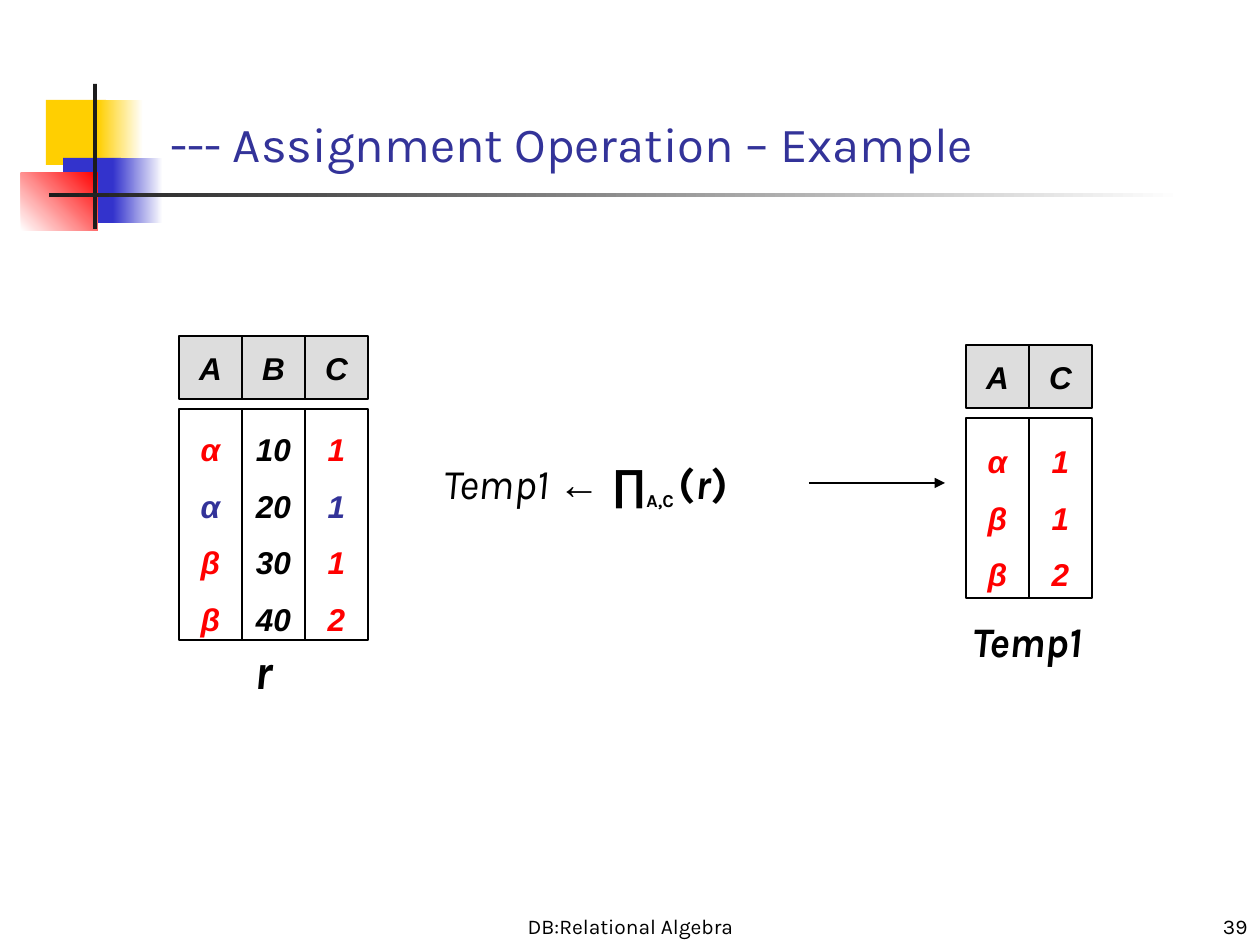
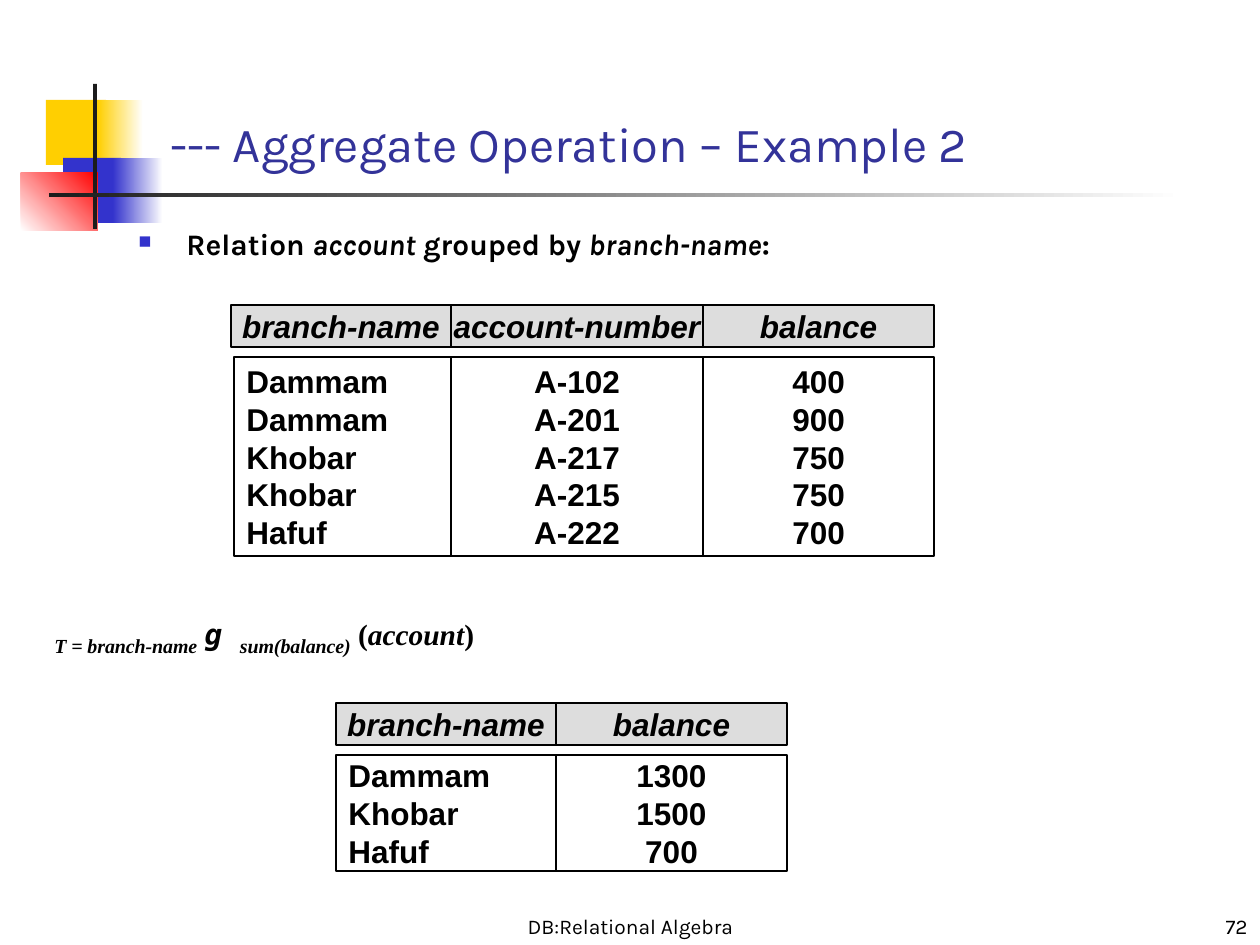
from lxml import etree
from pptx import Presentation
from pptx import util as u
from pptx.dml.color import RGBColor
from pptx.enum import shapes, text
from pptx.oxml.ns import qn

PX = 914400 / 126
BLACK = RGBColor(0x00, 0x00, 0x00)
WHITE = RGBColor(0xFF, 0xFF, 0xFF)
GOLD = RGBColor(0xFF, 0xCF, 0x01)
BLUE = RGBColor(0x33, 0x33, 0xCC)
INDIGO = RGBColor(0x33, 0x33, 0x99)
RED = RGBColor(0xFF, 0x00, 0x00)
INK = RGBColor(0x1C, 0x1C, 0x1C)
GREY = RGBColor(0xDD, 0xDD, 0xDD)

LEFT, CENTER, RIGHT = (text.PP_ALIGN.LEFT, text.PP_ALIGN.CENTER,
                       text.PP_ALIGN.RIGHT)
TOP, MIDDLE, BOTTOM = (text.MSO_ANCHOR.TOP, text.MSO_ANCHOR.MIDDLE,
                       text.MSO_ANCHOR.BOTTOM)

TITLE = dict(name="Karla", size=28, color=INDIGO)
FOOTER = dict(name="Karla", size=12, color=BLACK)
LABEL = dict(name="Karla", size=24, color=BLACK, bold=True, italic=True)
BODY = dict(name="Karla", size=17, color=BLACK, bold=True)
CELL = dict(name="Arial", size=18, color=BLACK, bold=True)
HEAD = dict(CELL, italic=True)
FORMULA = dict(name="Times New Roman", size=16.8, color=BLACK, bold=True)
SUBSCRIPT = dict(FORMULA, size=19.6, italic=True, baseline=-25000)

BANDS = [
    (46, 100, 60, 65, [GOLD], 0),
    (98, 100, 45, 65, [GOLD, WHITE], 0),
    (63, 158, 58, 65, [BLUE], 0),
    (113, 158, 50, 65, [BLUE, WHITE], 0),
    (21, 173, 77, 58, [WHITE, RED], 45),
    (93, 84, 4, 145, [INK], 0),
    (49, 193, 1134, 4, [INK, WHITE], 0),
]
HEAD_GAP = 10


def px(*values):
    return [u.Emu(round(v * PX)) for v in values]


def add_run(p, words, fmt):
    r = p.add_run()
    r.text = words
    for key, value in fmt.items():
        if key == "color":
            r.font.color.rgb = value
        elif key == "baseline":
            r._r.get_or_add_rPr().set("baseline", str(value))
        else:
            setattr(r.font, key, u.Pt(value) if key == "size" else value)


def fill_text(sp, paragraphs, align=LEFT, anchor=TOP, wrap=True, spacing=1.0):
    tf = sp.text_frame
    tf.word_wrap = wrap
    tf.vertical_anchor = anchor
    for i, runs in enumerate(paragraphs):
        p = tf.paragraphs[0] if i == 0 else tf.add_paragraph()
        p.alignment = align
        p.line_spacing = spacing
        for words, fmt in runs:
            add_run(p, words, fmt)
    return tf


def add_text(s, box, runs, **layout):
    sp = s.shapes.add_textbox(*px(*box))
    tf = fill_text(sp, [runs], **layout)
    if not tf.word_wrap:
        tf.auto_size = text.MSO_AUTO_SIZE.SHAPE_TO_FIT_TEXT
    return tf.paragraphs[0]


def add_rect(s, box, colors, angle=0, outlined=False):
    sp = s.shapes.add_shape(shapes.MSO_SHAPE.RECTANGLE, *px(*box))
    sp.shadow.inherit = False
    if len(colors) == 1:
        sp.fill.solid()
        sp.fill.fore_color.rgb = colors[0]
    else:
        sp.fill.gradient()
        sp.fill.gradient_angle = angle
        for stop, color in zip(sp.fill.gradient_stops, colors):
            stop.color.rgb = color
    if outlined:
        sp.line.color.rgb = BLACK
        sp.line.width = u.Pt(0.75)
    else:
        sp.line.fill.background()
    return sp


def add_relation(s, x, y, head_h, body_h, columns, spacing=1.0, inset=0):
    body_y = y + head_h + HEAD_GAP
    left = x
    for name, width, *_ in columns:
        sp = add_rect(s, (left, y, width, head_h), [GREY], outlined=True)
        fill_text(sp, [[(name, HEAD)]], CENTER, MIDDLE, False)
        left += width
    left = x
    for i, (_, width, align, fmt, values, colors) in enumerate(columns):
        body_x = left + inset if i == 0 else left
        sp = add_rect(s, (body_x, body_y, width, body_h), [WHITE],
                      outlined=True)
        rows = [[(v, dict(fmt, color=c))] for v, c in zip(values, colors)]
        fill_text(sp, rows, align, MIDDLE, False, spacing)
        left += width


def symbol_column(name, values, colors):
    return name, 63, CENTER, HEAD, values, colors


def data_column(name, width, values, align=CENTER):
    return name, width, align, CELL, values, [BLACK] * len(values)


def add_bullet(p, indent):
    pPr = p._p.get_or_add_pPr()
    width = px(indent)[0]
    pPr.set("marL", str(width))
    pPr.set("indent", str(-width))
    clr = etree.SubElement(pPr, qn("a:buClr"))
    etree.SubElement(clr, qn("a:srgbClr"), val=str(BLUE))
    etree.SubElement(pPr, qn("a:buSzPct"), val="60000")
    etree.SubElement(pPr, qn("a:buChar"), char="■")


def add_arrow(s, x1, x2, y):
    line = s.shapes.add_connector(shapes.MSO_CONNECTOR.STRAIGHT,
                                  *px(x1, y, x2, y))
    line.line.color.rgb = BLACK
    line.line.width = u.Pt(0.75)
    etree.SubElement(line.line._get_or_add_ln(), qn("a:tailEnd"),
                     type="triangle")
    etree.SubElement(line._element.spPr, qn("a:effectLst"))


def add_slide(prs, title, number):
    s = prs.slides.add_slide(prs.slide_layouts[6])
    for *box, colors, angle in BANDS:
        add_rect(s, box, colors, angle)
    add_text(s, (431, 892, 399, 53), [("DB:Relational Algebra", FOOTER)],
             align=CENTER, anchor=BOTTOM)
    add_text(s, (998, 892, 262, 53), [(number, FOOTER)],
             align=RIGHT, anchor=BOTTOM)
    add_text(s, (158, 95, 1074, 84), [(title, TITLE)], anchor=BOTTOM)
    return s


def assignment_slide(prs):
    s = add_slide(prs, "--- Assignment Operation – Example", "39")
    marked = [RED, INDIGO, RED, RED]
    add_relation(s, 179, 336, 63, 231, [
        symbol_column("A", "ααββ", marked),
        symbol_column("B", ["10", "20", "30", "40"], [BLACK] * 4),
        symbol_column("C", "1112", marked),
    ], spacing=1.5)
    upright = dict(LABEL, italic=False)
    add_text(s, (431, 451, 388, 81), [
        ("Temp1 ", dict(LABEL, bold=False)),
        ("← ∏", dict(upright, name="Arial")),
        ("A,C ", dict(upright, size=18, baseline=-25000)),
        ("(", upright), ("r", LABEL), (")", upright),
    ])
    add_text(s, (242, 634, 45, 72), [("r", dict(LABEL, size=28))], wrap=False)
    add_relation(s, 966, 345, 63, 180, [
        symbol_column("A", "αββ", [RED] * 3),
        symbol_column("C", "112", [RED] * 3),
    ], spacing=1.5)
    add_text(s, (960, 609, 156, 63), [("Temp1", LABEL)], wrap=False)
    add_arrow(s, 809, 945, 483)


def aggregate_slide(prs):
    s = add_slide(prs, "--- Aggregate Operation – Example 2", "72")
    slanted = dict(BODY, italic=True)
    p = add_text(s, (126, 220, 997, 52), [
        ("Relation ", BODY), ("account", slanted), (" grouped by ", BODY),
        ("branch-name", slanted), (":", BODY),
    ])
    add_bullet(p, 48)
    italic = dict(FORMULA, italic=True)
    add_text(s, (42, 609, 1074, 57), [
        ("T = branch-name", SUBSCRIPT), (" ", FORMULA),
        ("g ", dict(italic, name="DejaVu Sans Mono")),
        ("sum(balance)", SUBSCRIPT), (" (", FORMULA),
        ("account", italic), (")", FORMULA),
    ], spacing=0.8)
    add_relation(s, 231, 305, 42, 199, [
        data_column("branch-name", 220,
                    ["Dammam", "Dammam", "Khobar", "Khobar", "Hafuf"], LEFT),
        data_column("account-number", 252,
                    ["A-102", "A-201", "A-217", "A-215", "A-222"]),
        data_column("balance", 231, ["400", "900", "750", "750", "700"]),
    ], inset=3)
    add_relation(s, 336, 703, 42, 116, [
        data_column("branch-name", 220, ["Dammam", "Khobar", "Hafuf"], LEFT),
        data_column("balance", 231, ["1300", "1500", "700"]),
    ])


def main():
    prs = Presentation()
    prs.slide_width, prs.slide_height = px(1260, 945)
    assignment_slide(prs)
    aggregate_slide(prs)
    prs.save("out.pptx")


if __name__ == "__main__":
    main()
